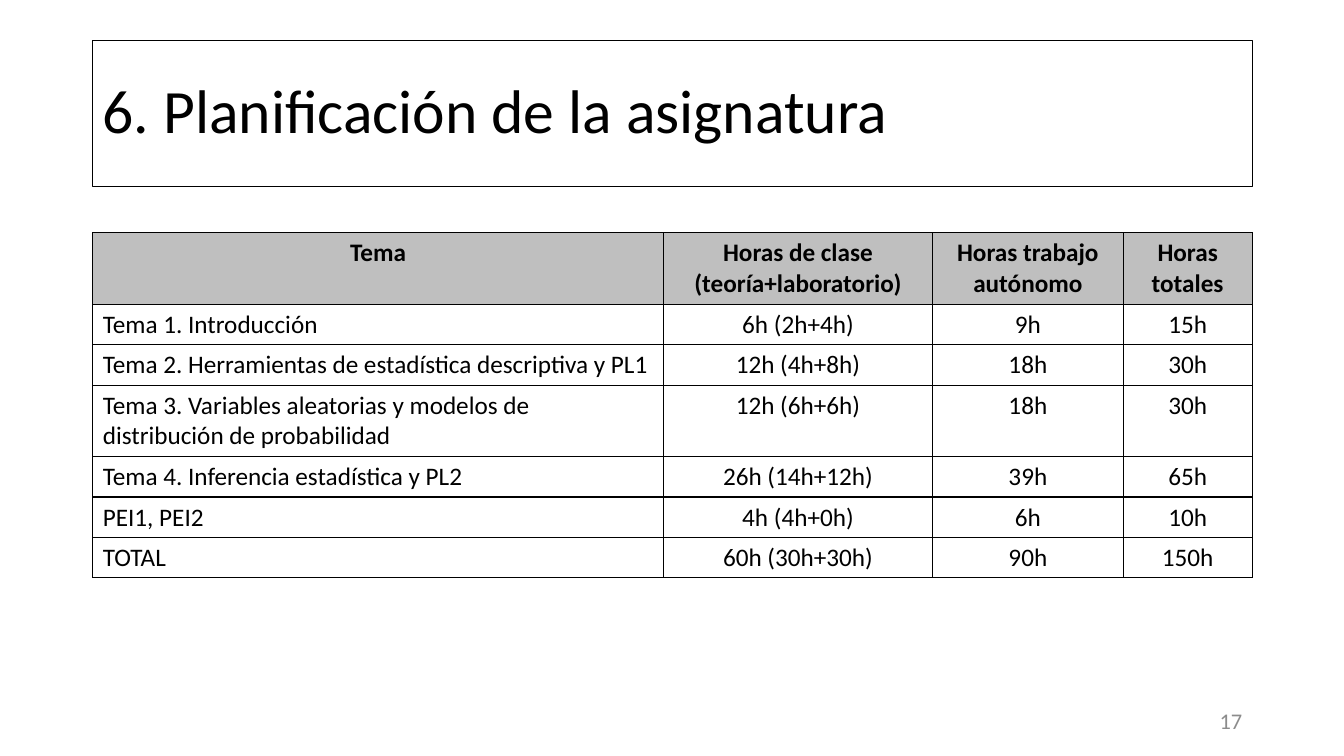
from lxml import etree
from pptx import Presentation
from pptx.dml.color import RGBColor
from pptx.enum.text import MSO_ANCHOR as Anchor, PP_ALIGN as Align
from pptx.oxml.ns import qn
from pptx.util import Inches, Pt

COLORS = {"text": "000000", "border": "000000", "header": "BFBFBF", "number": "8C8C8C"}
FONT = "Calibri"
LEFT, WIDTH = 0.92, 11.5

COLUMN_WIDTHS = [5.66, 2.67, 1.89, 1.28]
ROW_HEIGHT, TALL_ROW_HEIGHT = 0.4, 0.71
TALL_ROWS = {0, 3}
PLAN = [
    ("Tema", "Horas de clase (teoría+laboratorio)", "Horas trabajo autónomo", "Horas totales"),
    ("Tema 1. Introducción", "6h (2h+4h)", "9h", "15h"),
    ("Tema 2. Herramientas de estadística descriptiva y PL1", "12h (4h+8h)", "18h", "30h"),
    ("Tema 3. Variables aleatorias y modelos de distribución de probabilidad",
     "12h (6h+6h)", "18h", "30h"),
    ("Tema 4. Inferencia estadística y PL2", "26h (14h+12h)", "39h", "65h"),
    ("PEI1, PEI2", "4h (4h+0h)", "6h", "10h"),
    ("TOTAL", "60h (30h+30h)", "90h", "150h"),
]


def rgb(name):
    return RGBColor.from_string(COLORS[name])


def write(frame, text, size, color="text", align=Align.LEFT, bold=False):
    paragraph = frame.paragraphs[0]
    paragraph.text = text
    paragraph.alignment = align
    font = paragraph.font
    font.name, font.size, font.bold = FONT, Pt(size), bold
    font.color.rgb = rgb(color)
    return paragraph


def add_text(slide, text, left, top, width, height, size, **style):
    box = slide.shapes.add_textbox(Inches(left), Inches(top), Inches(width), Inches(height))
    box.text_frame.word_wrap = True
    box.text_frame.vertical_anchor = Anchor.MIDDLE
    write(box.text_frame, text, size, **style)
    return box


def add_title(slide, text):
    title = add_text(slide, text, LEFT, 0.4, WIDTH, 1.45, 44)
    title.text_frame.paragraphs[0].line_spacing = 0.9
    title.line.color.rgb = rgb("border")
    title.line.width = Pt(0.75)


def set_borders(cell):
    properties = cell._tc.get_or_add_tcPr()
    for side in ("a:lnL", "a:lnR", "a:lnT", "a:lnB"):
        line = etree.SubElement(properties, qn(side), w=str(Pt(1)))
        fill = etree.SubElement(line, qn("a:solidFill"))
        etree.SubElement(fill, qn("a:srgbClr"), val=COLORS["border"])


def add_plan_table(slide):
    heights = [TALL_ROW_HEIGHT if i in TALL_ROWS else ROW_HEIGHT for i in range(len(PLAN))]
    table = slide.shapes.add_table(
        len(PLAN), len(COLUMN_WIDTHS), Inches(LEFT), Inches(2.31),
        Inches(WIDTH), Inches(sum(heights))).table
    for column, width in zip(table.columns, COLUMN_WIDTHS):
        column.width = Inches(width)
    for row_index, (row, height) in enumerate(zip(table.rows, heights)):
        row.height = Inches(height)
        is_header = row_index == 0
        for column_index, cell in enumerate(row.cells):
            centered = is_header or column_index > 0
            write(cell.text_frame, PLAN[row_index][column_index], 18,
                  align=Align.CENTER if centered else Align.LEFT, bold=is_header)
            set_borders(cell)
            if is_header:
                cell.fill.solid()
                cell.fill.fore_color.rgb = rgb("header")
            else:
                cell.fill.background()


def main():
    presentation = Presentation()
    presentation.slide_width, presentation.slide_height = Inches(13.33), Inches(7.5)
    slide = presentation.slides.add_slide(presentation.slide_layouts[6])
    add_title(slide, "6. Planificación de la asignatura")
    add_text(slide, "17", 9.42, 6.95, 3, 0.4, 16, color="number", align=Align.RIGHT)
    add_plan_table(slide)
    presentation.save("out.pptx")


if __name__ == "__main__":
    main()
